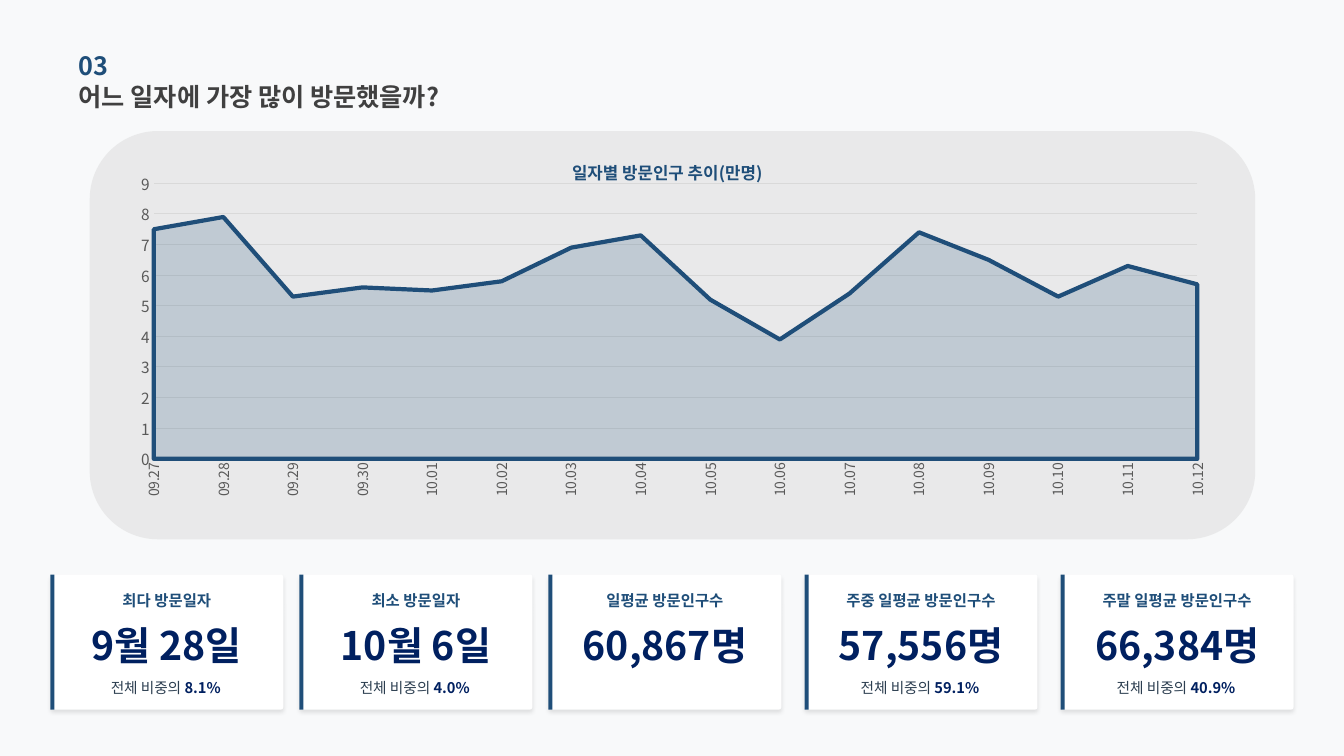
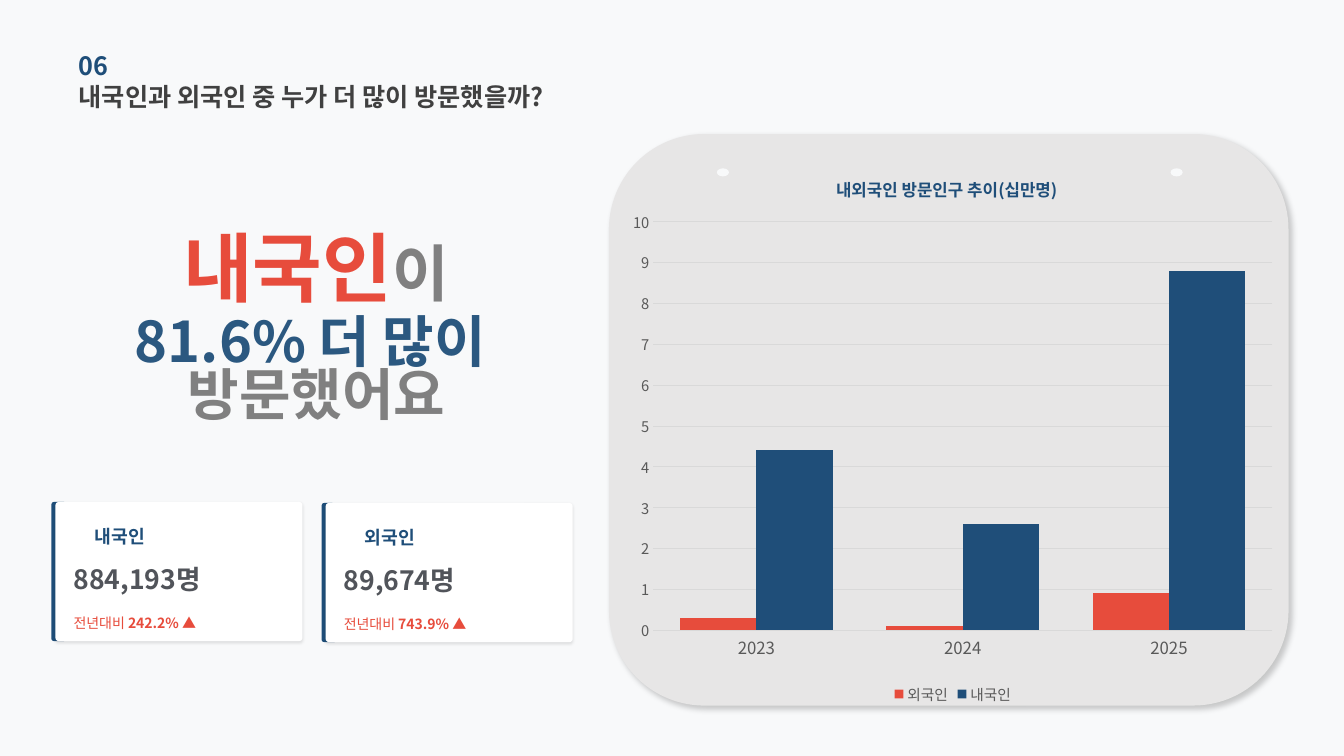
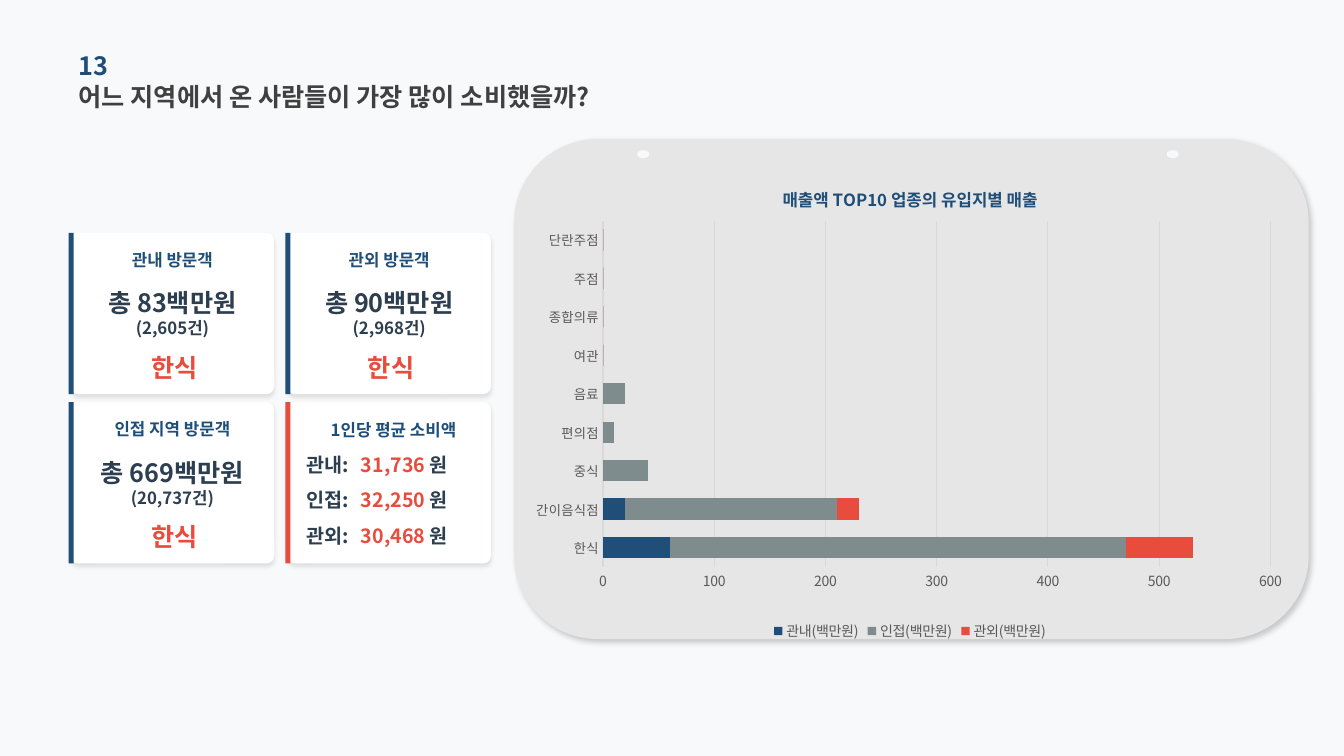
from dataclasses import dataclass

from lxml import etree
from pptx import Presentation
from pptx.chart.data import CategoryChartData
from pptx.dml.color import RGBColor
from pptx.enum import chart as ch, shapes, text
from pptx.oxml import ns
from pptx.util import Inches, Pt


@dataclass(frozen=True)
class Theme:
    face: str = "Noto Sans CJK KR"
    page: str = "F8F9FA"
    white: str = "FFFFFF"
    navy: str = "1F4E79"
    deep: str = "002060"
    steel: str = "2B5880"
    slate: str = "2C3E50"
    red: str = "E74C3C"
    dark: str = "404040"
    count: str = "51545A"
    mute: str = "808080"
    axis: str = "595959"
    grid: str = "D9D9D9"
    panel: str = "E7E6E6"
    haze: str = "D0CECE"
    ash: str = "7F8C8D"
    head: float = 18
    label: float = 12
    # opacity %, blur pt, distance pt, angle
    lift: tuple = (10, 3, 2, 90)
    soft: tuple = (10, 2, 1, 90)
    cast: tuple = (20, 4, 3, 45)


T = Theme()
ROUND = shapes.MSO_SHAPE.ROUNDED_RECTANGLE
RECT = shapes.MSO_SHAPE.RECTANGLE
OVAL = shapes.MSO_SHAPE.OVAL
MID = text.PP_ALIGN.CENTER
LEFT = text.PP_ALIGN.LEFT


def rgb(tone):
    return RGBColor.from_string(tone)


def add(node, tag, **attrs):
    return etree.SubElement(node, ns.qn(tag), {k: str(v) for k, v in attrs.items()})


def fade(fill, alpha):
    """Make a solid fill see-through; alpha is opacity in percent."""
    tone = fill._xPr.find(".//" + ns.qn("a:srgbClr"))
    add(tone, "a:alpha", val=alpha * 1000)


def style(font, size, tone, bold=False):
    font.size, font.bold = Pt(size), bold
    font.color.rgb = rgb(tone)
    font.name = T.face
    add(font._rPr, "a:ea", typeface=T.face)


def paint(slide, kind, box, tone, alpha=None, adj=None, glow=None):
    shape = slide.shapes.add_shape(kind, *map(Inches, box))
    shape.fill.solid()
    shape.fill.fore_color.rgb = rgb(tone)
    shape.line.fill.background()
    shape.shadow.inherit = False
    if alpha:
        fade(shape.fill, alpha)
    if adj:
        shape.adjustments[0] = adj
    if glow:
        part, blur, dist, turn = glow
        effect = shape._element.spPr.find(ns.qn("a:effectLst"))
        cast = add(effect, "a:outerShdw", blurRad=Pt(blur), dist=Pt(dist),
                   dir=turn * 60000, algn="t", rotWithShape=0)
        add(add(cast, "a:srgbClr", val="000000"), "a:alpha", val=part * 1000)


def say(slide, box, *paras, align=LEFT, space=None):
    """Each paragraph is a list of (text, size, tone, bold); None is a line break."""
    frame = slide.shapes.add_textbox(*map(Inches, box)).text_frame
    frame.word_wrap = True
    frame.vertical_anchor = text.MSO_ANCHOR.MIDDLE
    frame.margin_left = frame.margin_right = 0
    frame.margin_top = frame.margin_bottom = 0
    for i, runs in enumerate(paras):
        para = frame.add_paragraph() if i else frame.paragraphs[0]
        para.alignment = align
        if space:
            para.line_spacing = space
        for item in runs:
            if item is None:
                para.add_line_break()
                continue
            run = para.add_run()
            run.text = item[0]
            style(run.font, *item[1:])


def start(deck, number, title):
    slide = deck.slides.add_slide(deck.slide_layouts[6])
    say(slide, (0.78, 0.75, 5.35, 0.41), [(title, T.head, T.dark, True)])
    say(slide, (0.78, 0.44, 4.52, 0.41), [(number, T.head, T.navy, True)])
    return slide


def panel(slide, box, studs, top):
    paint(slide, ROUND, box, T.panel, glow=T.cast)
    for x in studs:
        paint(slide, OVAL, (x, top, 0.12, 0.08), T.page)


def place(node, index, inner=False, **spots):
    """Set a manual layout on a chart part."""
    layout = node.find(ns.qn("c:layout"))
    if layout is None:
        layout = etree.Element(ns.qn("c:layout"))
        node.insert(index, layout)
    manual = add(layout, "c:manualLayout")
    if inner:
        add(manual, "c:layoutTarget", val="inner")
    for key in "xy":
        add(manual, f"c:{key}Mode", val="edge")
    for key, value in spots.items():
        add(manual, f"c:{key}", val=value)


def graph(slide, kind, box, title, spot, plot, cats, series, top, step, sizes):
    """Series are (name, tone, values); sizes are for category, value and legend."""
    data = CategoryChartData()
    data.categories = cats
    for name, _, values in series:
        data.add_series(name, values)
    chart = slide.shapes.add_chart(kind, *map(Inches, box), data).chart
    chart.font.name = T.face
    chart.has_title = True
    run = chart.chart_title.text_frame.paragraphs[0].add_run()
    run.text = title
    style(run.font, T.label, T.navy, True)
    place(chart.chart_title._element, 1, x=spot[0], y=spot[1])
    place(chart._chartSpace.chart.plotArea, 0, True, **dict(zip("xywh", plot)))

    cat, val = chart.category_axis, chart.value_axis
    for axis, size in zip((cat, val), sizes):
        axis.major_tick_mark = axis.minor_tick_mark = ch.XL_TICK_MARK.NONE
        style(axis.tick_labels.font, size, T.axis)
    cat.has_major_gridlines = False
    val.has_major_gridlines = True
    for line in (cat.format.line, val.major_gridlines.format.line):
        line.color.rgb = rgb(T.grid)
        line.width = Pt(0.75)
    val.format.line.fill.background()
    val.minimum_scale, val.maximum_scale, val.major_unit = 0, top, step

    chart.has_legend = len(series) > 1
    if chart.has_legend:
        chart.legend.position = ch.XL_LEGEND_POSITION.BOTTOM
        chart.legend.include_in_layout = False
        style(chart.legend.font, sizes[2], T.axis)
    chart.plots[0].vary_by_categories = False
    for item, (_, tone, _) in zip(chart.plots[0].series, series):
        item.format.fill.solid()
        item.format.fill.fore_color.rgb = rgb(tone)
    return chart


def fact(slide, x, y, label, value, share):
    paint(slide, ROUND, (x, y, 2.31, 1.34), T.white, adj=0.018, glow=T.lift)
    say(slide, (x + 0.1, y + 0.15, 2.11, 0.22), [(label, 11, T.navy, True)], align=MID)
    say(slide, (x, y + 0.51, 2.31, 0.38), [(value, 28, T.deep, True)], align=MID)
    if share:
        say(slide, (x + 0.5, y + 1.02, 1.32, 0.21),
            [("전체 비중의 ", 10.5, T.slate), (share + " ", 10.5, T.deep, True)],
            align=MID)
    paint(slide, RECT, (x, y, 0.04, 1.34), T.navy)


def growth(slide, x, y, label, value, rise):
    paint(slide, ROUND, (x - 0.04, y, 0.15, 1.38), T.navy)
    paint(slide, ROUND, (x, y, 2.45, 1.38), T.white, adj=0.023, glow=T.soft)
    say(slide, (x + 0.39, y + 0.2, 0.65, 0.28), [(label, 13, T.navy, True)])
    say(slide, (x + 0.18, y + 0.57, 2.2, 0.39), [(value, 19, T.count, True)])
    say(slide, (x + 0.18, y + 0.97, 2.2, 0.45),
        [("전년대비 ", 10, T.red), (rise + " ▲", 10, T.red, True)])


def tile(slide, x, y, tone):
    paint(slide, ROUND, (x, y, 2.02, 1.6), T.white, adj=0.048, glow=T.lift)
    paint(slide, RECT, (x - 0.02, y, 0.05, 1.6), tone)


def spend(slide, x, y, label, total, deals):
    tile(slide, x, y, T.navy)
    say(slide, (x, y + 0.11, 2.02, 0.31), [(label, T.label, T.navy, True)], align=MID)
    say(slide, (x, y + 0.56, 2.02, 0.47),
        [(total, 18, T.slate, True), None, (deals, 12, T.slate, True)], align=MID)
    say(slide, (x + 0.03, y + 1.1, 2, 0.47), [("한식", 18, T.red, True)], align=MID)


def mean(slide, x, y, rows):
    tile(slide, x, y, T.red)
    say(slide, (x + 0.43, y + 0.15, 1.5, 0.25),
        [("1인당 평균 소비액", T.label, T.navy, True)])
    for i, (label, value) in enumerate(rows):
        top = y + 0.47 + 0.35 * i
        say(slide, (x + 0.19, top, 0.59, 0.3), [(label, 14, T.slate, True)])
        say(slide, (x + 0.73, top, 1.25, 0.3),
            [(value + " ", 14, T.red, True), ("원", 14, T.slate, True)])


def dates(deck):
    slide = start(deck, "03", "어느 일자에 가장 많이 방문했을까?")
    paint(slide, ROUND, (0.89, 1.3, 11.56, 4.05), T.haze, alpha=36)
    facts = [
        (0.5, "최다 방문일자", "9월 28일", "8.1%"),
        (2.97, "최소 방문일자", "10월 6일", "4.0%"),
        (5.44, "일평균 방문인구수", "60,867명", None),
        (7.98, "주중 일평균 방문인구수", "57,556명", "59.1%"),
        (10.52, "주말 일평균 방문인구수", "66,384명", "40.9%"),
    ]
    for x, *words in facts:
        fact(slide, x, 5.7, *words)
    days = [f"09.{d}" for d in range(27, 31)] + [f"10.{d:02}" for d in range(1, 13)]
    visits = [7.5, 7.9, 5.3, 5.6, 5.5, 5.8, 6.9, 7.3,
              5.2, 3.9, 5.4, 7.4, 6.5, 5.3, 6.3, 5.7]
    chart = graph(slide, ch.XL_CHART_TYPE.AREA, (1.08, 1.33, 11.13, 4.08),
                  "일자별 방문인구 추이(만명)", (0.41, 0.05), (0.04, 0.12, 0.93, 0.67),
                  days, [("Series 1", T.navy, visits)], 9, 1, (10, 11))
    look = chart.plots[0].series[0].format
    fade(look.fill, 20)
    look.line.color.rgb = rgb(T.navy)
    look.line.width = Pt(3)
    turn = chart.category_axis._element.find(".//" + ns.qn("a:bodyPr"))
    turn.set("rot", "-5400000")
    turn.set("vert", "horz")
    cross = chart.value_axis._element.find(ns.qn("c:crossBetween"))
    cross.set("val", "midCat")


def guests(deck):
    slide = start(deck, "06", "내국인과 외국인 중 누가 더 많이 방문했을까?")
    panel(slide, (6.04, 1.33, 6.74, 5.67), (7.11, 11.61), 1.67)
    say(slide, (0.99, 2.4, 4.29, 0.48),
        [("내국인", 54, T.red, True), ("이", 44, T.mute, True)], align=MID)
    say(slide, (0.38, 3.28, 5.52, 0.84), [("81.6% 더 많이 ", 40, T.steel, True)],
        [("방문했어요", 40, T.mute, True)], align=MID, space=0.8)
    growth(slide, 0.55, 4.98, "내국인", "884,193명", "242.2%")
    growth(slide, 3.23, 4.99, "외국인", "89,674명", "743.9%")
    chart = graph(slide, ch.XL_CHART_TYPE.COLUMN_CLUSTERED, (6.15, 1.48, 6.6, 5.55),
                  "내외국인 방문인구 추이(십만명)", (0.32, 0.04), (0.05, 0.13, 0.93, 0.73),
                  ["2023", "2024", "2025"],
                  [("외국인", T.red, [0.3, 0.1, 0.9]), ("내국인", T.navy, [4.4, 2.6, 8.8])],
                  10, 1, (12, 10.5, 10.5))
    chart.plots[0].gap_width = 70


def sales(deck):
    slide = start(deck, "13", "어느 지역에서 온 사람들이 가장 많이 소비했을까?")
    panel(slide, (5.1, 1.38, 7.88, 4.96), (6.32, 11.57), 1.49)
    cards = [
        ("관내 방문객", "총 83백만원", "(2,605건)"),
        ("관외 방문객", "총 90백만원", "(2,968건)"),
        ("인접 지역 방문객", "총 669백만원", "(20,737건)"),
    ]
    spots = [(0.7 + 2.15 * col, 2.31 + 1.68 * row) for row in (0, 1) for col in (0, 1)]
    for spot, words in zip(spots, cards):
        spend(slide, *spot, *words)
    mean(slide, *spots[3],
         [("관내:", "31,736"), ("인접:", "32,250"), ("관외:", "30,468")])
    kinds = ["한식", "간이음식점", "중식", "편의점", "음료",
             "여관", "종합의류", "주점", "단란주점"]
    series = [
        ("관내(백만원)", T.navy, [60, 20, 0, 0, 0, 0, 0, 0, 0]),
        ("인접(백만원)", T.ash, [410, 190, 40, 10, 20, 0, 0, 0, 0]),
        ("관외(백만원)", T.red, [60, 20, 0, 0, 0, 0, 0, 0, 0]),
    ]
    chart = graph(slide, ch.XL_CHART_TYPE.BAR_STACKED, (5.22, 1.56, 7.61, 4.84),
                  "매출액 TOP10 업종의 유입지별 매출", (0.33, 0.05), (0.1, 0.13, 0.87, 0.71),
                  kinds, series, 600, 100, (9.5, 10, 10))
    chart.plots[0].gap_width = 80
    chart.plots[0].overlap = 100


def main():
    deck = Presentation()
    deck.slide_width, deck.slide_height = Inches(13.33), Inches(7.5)
    back = deck.slide_master.background.fill
    back.solid()
    back.fore_color.rgb = rgb(T.page)
    for build in (dates, guests, sales):
        build(deck)
    deck.save("out.pptx")


if __name__ == "__main__":
    main()
